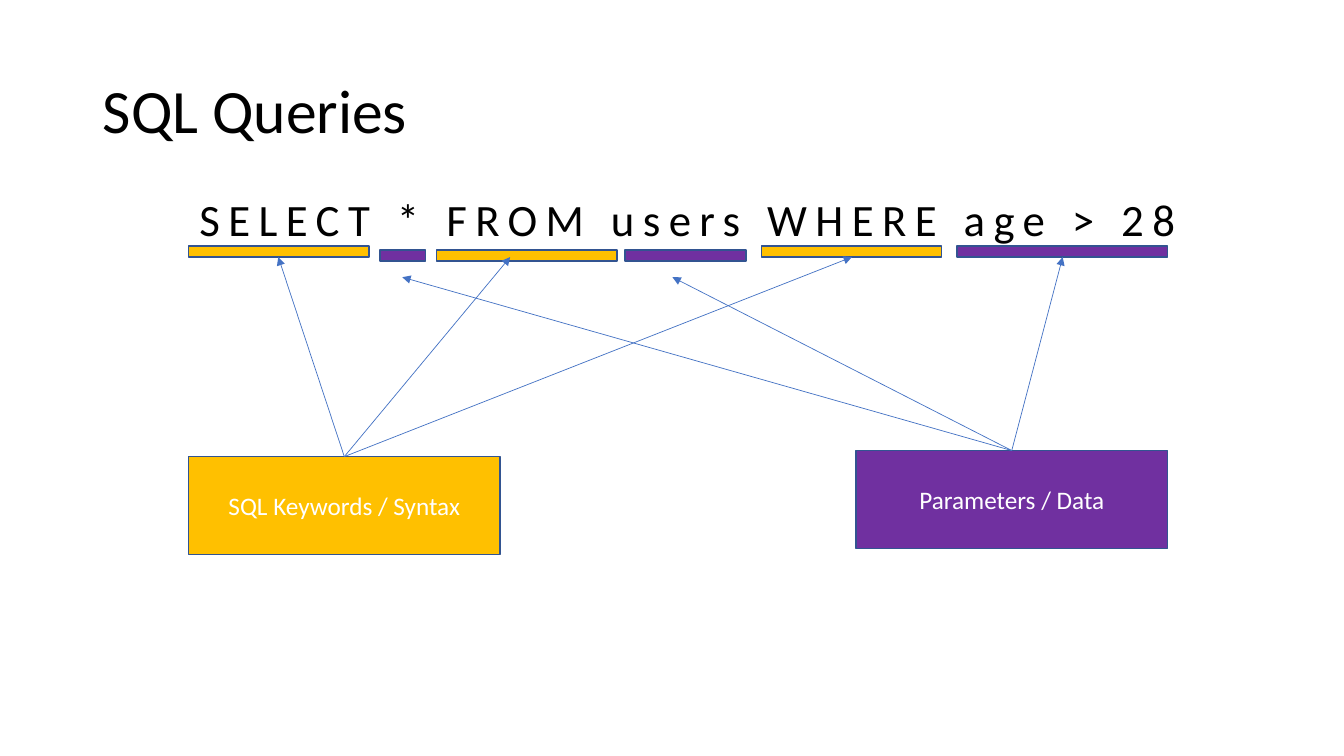
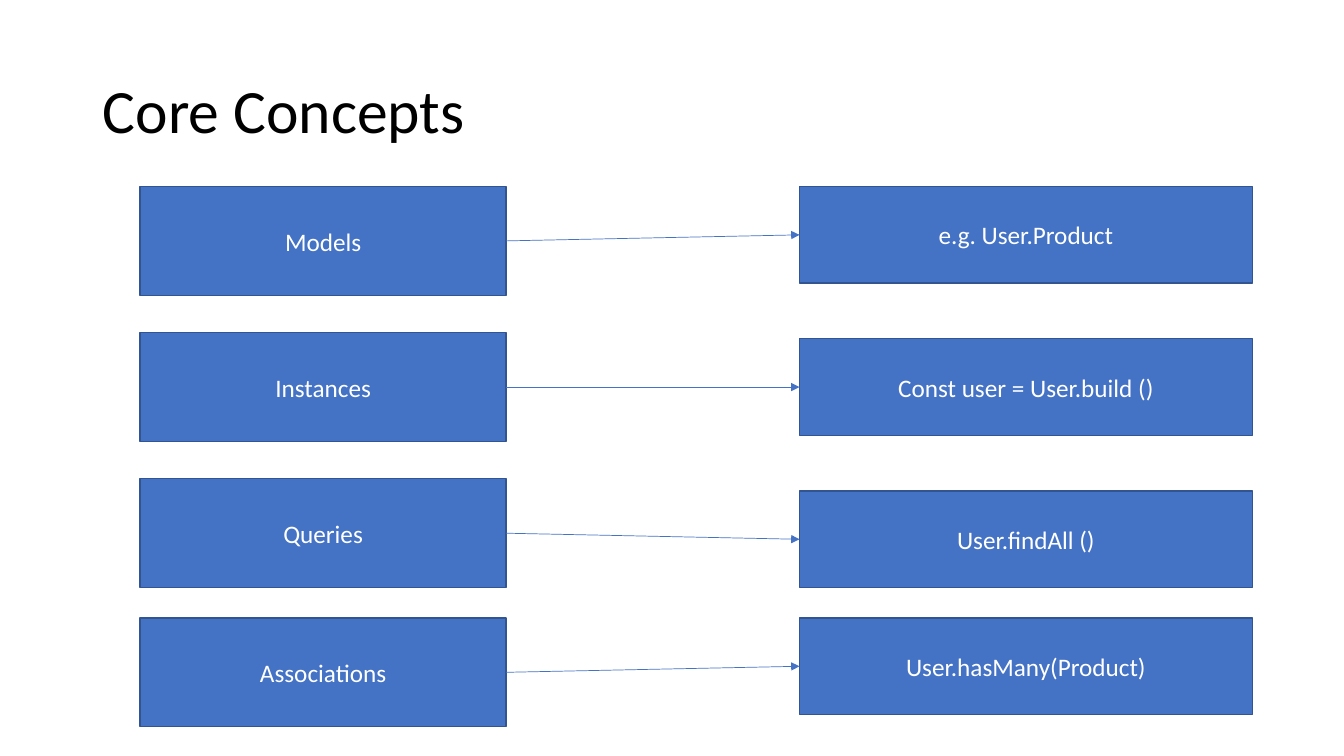
from pptx import Presentation
from pptx.dml.color import RGBColor
from pptx.enum.shapes import MSO_CONNECTOR as CONNECTOR, MSO_SHAPE as SHAPE
from pptx.enum.text import MSO_ANCHOR as ANCHOR, MSO_AUTO_SIZE as AUTO_SIZE, PP_ALIGN as ALIGN
from pptx.oxml.ns import qn
from pptx.util import Inches, Pt
from lxml.etree import SubElement

BLACK = RGBColor(0x00, 0x00, 0x00)
WHITE = RGBColor(0xFF, 0xFF, 0xFF)
BLUE = RGBColor(0x44, 0x72, 0xC4)
OUTLINE = RGBColor(0x32, 0x54, 0x91)
AMBER = RGBColor(0xFF, 0xC0, 0x00)
PURPLE = RGBColor(0x70, 0x30, 0xA0)
FONT = "Calibri"
TITLE_BOX = (0.92, 0.4, 11.5, 1.45)
TITLE_ONLY = 5
TOP, LEFT, RIGHT = 0, 1, 3  # connection sites of a rectangle


def inches(*lengths):
    """Convert several lengths to Inches."""
    return [Inches(length) for length in lengths]


def write_text(frame, text, size=18, color=WHITE, align=ALIGN.CENTER,
               anchor=ANCHOR.MIDDLE, wrap=True, line_spacing=None, tracking=None):
    """Put one formatted paragraph into a text frame; tracking is in points."""
    frame.word_wrap = wrap
    frame.vertical_anchor = anchor
    paragraph = frame.paragraphs[0]
    paragraph.alignment = align
    paragraph.line_spacing = line_spacing
    run = paragraph.add_run()
    run.text = text
    run.font.name = FONT
    run.font.size = Pt(size)
    run.font.color.rgb = color
    if tracking:
        run.font._element.set("spc", str(tracking * 100))


def add_titled_slide(deck, title):
    """Add a slide with the shared title style."""
    slide = deck.slides.add_slide(deck.slide_layouts[TITLE_ONLY])
    heading = slide.shapes.title
    heading.left, heading.top, heading.width, heading.height = inches(*TITLE_BOX)
    heading.text_frame.auto_size = AUTO_SIZE.NONE
    write_text(heading.text_frame, title, size=44, color=BLACK,
               align=ALIGN.LEFT, line_spacing=0.9)
    return slide


def add_box(slide, box, fill, label=None):
    """Add an outlined rectangle, with a centred label if one is given."""
    rectangle = slide.shapes.add_shape(SHAPE.RECTANGLE, *inches(*box))
    rectangle.shadow.inherit = False
    rectangle.fill.solid()
    rectangle.fill.fore_color.rgb = fill
    rectangle.line.color.rgb = OUTLINE
    rectangle.line.width = Pt(1)
    if label:
        write_text(rectangle.text_frame, label)
    return rectangle


def add_arrow(slide, source, site, tip=(0, 0), target=None):
    """Draw an arrow from a box to a point, or to the left side of a target box."""
    arrow = slide.shapes.add_connector(CONNECTOR.STRAIGHT, 0, 0, *inches(*tip))
    arrow.begin_connect(source, site)
    if target is not None:
        arrow.end_connect(target, LEFT)
    arrow.line.color.rgb = BLUE
    arrow.line.width = Pt(0.5)
    SubElement(arrow.line._get_or_add_ln(), qn("a:tailEnd"), type="triangle")
    SubElement(arrow._element.spPr, qn("a:effectLst"))


def add_query(slide, box, query, underlines):
    """Write the spaced query and underline its words, relative to the box."""
    left, top = box[:2]
    line = slide.shapes.add_textbox(*inches(*box))
    write_text(line.text_frame, query, size=32, color=BLACK, align=ALIGN.LEFT,
               anchor=ANCHOR.TOP, wrap=False, tracking=6)
    for offset, drop, width, fill in underlines:
        add_box(slide, (left + offset, top + drop, width, 0.11), fill)


def add_legend(slide, box, label, fill, tips):
    """Add a legend box with arrows from its top to the query words."""
    legend = add_box(slide, box, fill, label)
    for tip in tips:
        add_arrow(slide, legend, TOP, tip)


def add_concept(slide, box, concept, example, concept_drop, example_drop):
    """Add one row: a concept on the left, an arrow and its example on the right."""
    left, top, width = box
    example_width = 4.49
    concept_box = add_box(slide, (left, top + concept_drop, 3.63, 1.08), BLUE, concept)
    example_box = add_box(slide, (left + width - example_width, top + example_drop,
                                  example_width, 0.96), BLUE, example)
    add_arrow(slide, concept_box, RIGHT, target=example_box)


def build_queries(deck):
    """Build the slide that splits a query into syntax and data."""
    slide = add_titled_slide(deck, "SQL Queries")
    high, low = 0.59, 0.63
    add_query(slide, (1.88, 1.85, 10.07, 0.64), "SELECT * FROM users WHERE age > 28", [
        (-0.01, high, 1.79, AMBER),
        (1.89, low, 0.45, PURPLE),
        (2.45, low, 1.79, AMBER),
        (4.32, low, 1.2, PURPLE),
        (5.67, high, 1.79, AMBER),
        (7.61, high, 2.09, PURPLE),
    ])
    add_legend(slide, (1.87, 4.53, 3.09, 0.97), "SQL Keywords / Syntax", AMBER,
               [(2.76, 2.55), (5.06, 2.55), (8.45, 2.55)])
    add_legend(slide, (8.49, 4.47, 3.09, 0.97), "Parameters / Data", PURPLE,
               [(3.99, 2.75), (6.67, 2.75), (10.54, 2.55)])


def build_concepts(deck):
    """Build the slide that pairs each concept with an example."""
    slide = add_titled_slide(deck, "Core Concepts")
    rows = [
        ("Models", "e.g. User.Product", 0, 0),
        ("Instances", "Const user = User.build ()", 1.45, 1.51),
        ("Queries", "User.findAll ()", 2.9, 3.02),
        ("Associations", "User.hasMany(Product)", 4.28, 4.28),
    ]
    for row in rows:
        add_concept(slide, (1.39, 1.85, 11.03), *row)


deck = Presentation()
deck.slide_width, deck.slide_height = inches(13.33, 7.5)
build_queries(deck)
build_concepts(deck)
deck.save("out.pptx")
